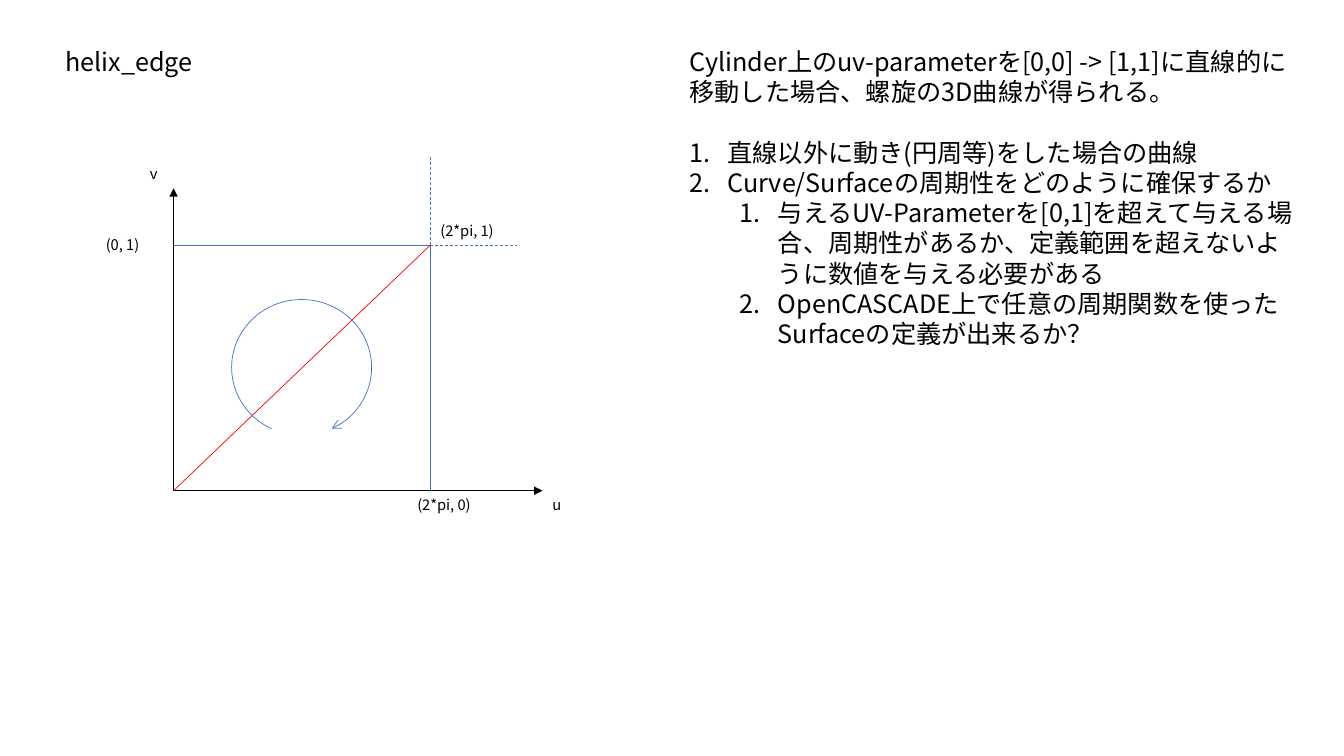
from typing import NamedTuple

from pptx import Presentation
from pptx.dml.color import RGBColor
from pptx.enum.dml import MSO_LINE as Dash
from pptx.enum.shapes import MSO_CONNECTOR as Conn, MSO_SHAPE as Form
from pptx.enum.text import MSO_ANCHOR as Anchor, MSO_AUTO_SIZE as Fit, PP_ALIGN as Align
from pptx.oxml.ns import qn
from pptx.util import Pt
from lxml.etree import SubElement as sub

FONT = "Noto Sans CJK JP"
BLACK, BLUE, RED = "000000", "4472C4", "FF0000"
LEFT, BASE, RIGHT, TOP = 124, 350.5, 307.5, 175


class Edge(NamedTuple):
    start: tuple[float, float]
    end: tuple[float, float]
    color: str = BLUE
    dash: bool = False
    head: str = ""


class Label(NamedTuple):
    text: str
    x: float
    y: float
    width: float


class Item(NamedTuple):
    text: str
    level: int
    gap: float = 0


EDGES = [
    Edge((LEFT, BASE), (LEFT, 134.5), BLACK, head="triangle"),
    Edge((LEFT, BASE), (387.5, BASE), BLACK, head="triangle"),
    Edge((LEFT, TOP), (RIGHT, TOP)),
    Edge((RIGHT, BASE), (RIGHT, TOP)),
    Edge((RIGHT, TOP), (RIGHT, 112.5), dash=True),
    Edge((RIGHT, TOP), (369.5, TOP), dash=True),
    Edge((LEFT, BASE), (RIGHT, TOP), RED),
]
LABELS = [
    Label("u", 387.5, BASE, 24),
    Label("v", 100, 114.5, 24),
    Label("(2*pi, 0)", 291, BASE, 55.5),
    Label("(0, 1)", 68.5, 165, 55.5),
    Label("(2*pi, 1)", RIGHT, 155, 55.5),
]
INTRO = "Cylinder上のuv-parameterを[0,0] -> [1,1]に直線的に移動した場合、螺旋の3D曲線が得られる。"
ITEMS = [
    Item("直線以外に動き(円周等)をした場合の曲線", 0, 21.6),
    Item("Curve/Surfaceの周期性をどのように確保するか", 0),
    Item("与えるUV-Parameterを[0,1]を超えて与える場合、周期性があるか、"
         "定義範囲を超えないように数値を与える必要がある", 1),
    Item("OpenCASCADE上で任意の周期関数を使ったSurfaceの定義が出来るか？", 1),
]


def paint(target, color: str) -> None:
    """Give a font or line colour format its hex colour."""
    target.rgb = RGBColor.from_string(color)


def style(frame, size: float) -> None:
    """Format every run of a text frame."""
    frame.word_wrap = True
    for run in (r for p in frame.paragraphs for r in p.runs):
        run.font.size, run.font.name = Pt(size), FONT
        paint(run.font.color, BLACK)
        sub(run.font._element, qn("a:ea"), typeface=FONT)


def stroke(shape, color: str, head: str) -> None:
    """Set a thin line with an optional arrowhead."""
    shape.line.width = Pt(0.5)
    paint(shape.line.color, color)
    if head:
        sub(shape.line._get_or_add_ln(), qn("a:tailEnd"), type=head)


def draw(shapes, edge: Edge) -> None:
    """Draw one straight edge of the diagram."""
    line = shapes.add_connector(Conn.STRAIGHT, *map(Pt, edge.start + edge.end))
    if edge.dash:
        line.line.dash_style = Dash.DASH
    stroke(line, edge.color, edge.head)
    sub(line._element.spPr, qn("a:effectLst"))


def write(shapes, label: Label) -> None:
    """Write one coordinate label."""
    frame = shapes.add_textbox(Pt(label.x), Pt(label.y), Pt(label.width), Pt(20)).text_frame
    frame.text = label.text
    style(frame, 10.5)


def head(shape) -> None:
    """Place and format the slide title."""
    shape.left, shape.top, shape.width, shape.height = map(Pt, (39.5, 29.5, 150, 29))
    frame = shape.text_frame
    frame.text = "helix_edge"
    frame.auto_size, frame.vertical_anchor = Fit.NONE, Anchor.TOP
    frame.paragraphs[0].alignment = Align.LEFT
    style(frame, 18)


def notes(shapes) -> None:
    """Write the introduction and its numbered questions."""
    frame = shapes.add_textbox(Pt(485.5), Pt(29.5), Pt(450), Pt(225.5)).text_frame
    frame.text = INTRO
    for item in ITEMS:
        para = frame.add_paragraph()
        para.text, para.level = item.text, item.level
        para.space_before = Pt(item.gap)
        props = para._p.get_or_add_pPr()
        props.set("marL", str(Pt(27 + 36 * item.level)))
        props.set("indent", str(Pt(-27)))
        sub(props, qn("a:buAutoNum"), type="arabicPeriod")
    style(frame, 18)


def turn(shapes) -> None:
    """Draw the circular arrow."""
    arc = shapes.add_shape(Form.ARC, *map(Pt, (165.5, 214, 100, 97)))
    arc.adjustments[0], arc.adjustments[1] = 69.64, 38.25
    arc.shadow.inherit = False
    arc.fill.background()
    stroke(arc, BLUE, "arrow")


def main() -> None:
    """Build the slide and save it."""
    deck = Presentation()
    deck.slide_width, deck.slide_height = Pt(960), Pt(540)
    shapes = deck.slides.add_slide(deck.slide_layouts[5]).shapes
    head(shapes.title)
    for edge in EDGES:
        draw(shapes, edge)
    for label in LABELS:
        write(shapes, label)
    notes(shapes)
    turn(shapes)
    deck.save("out.pptx")


main()
